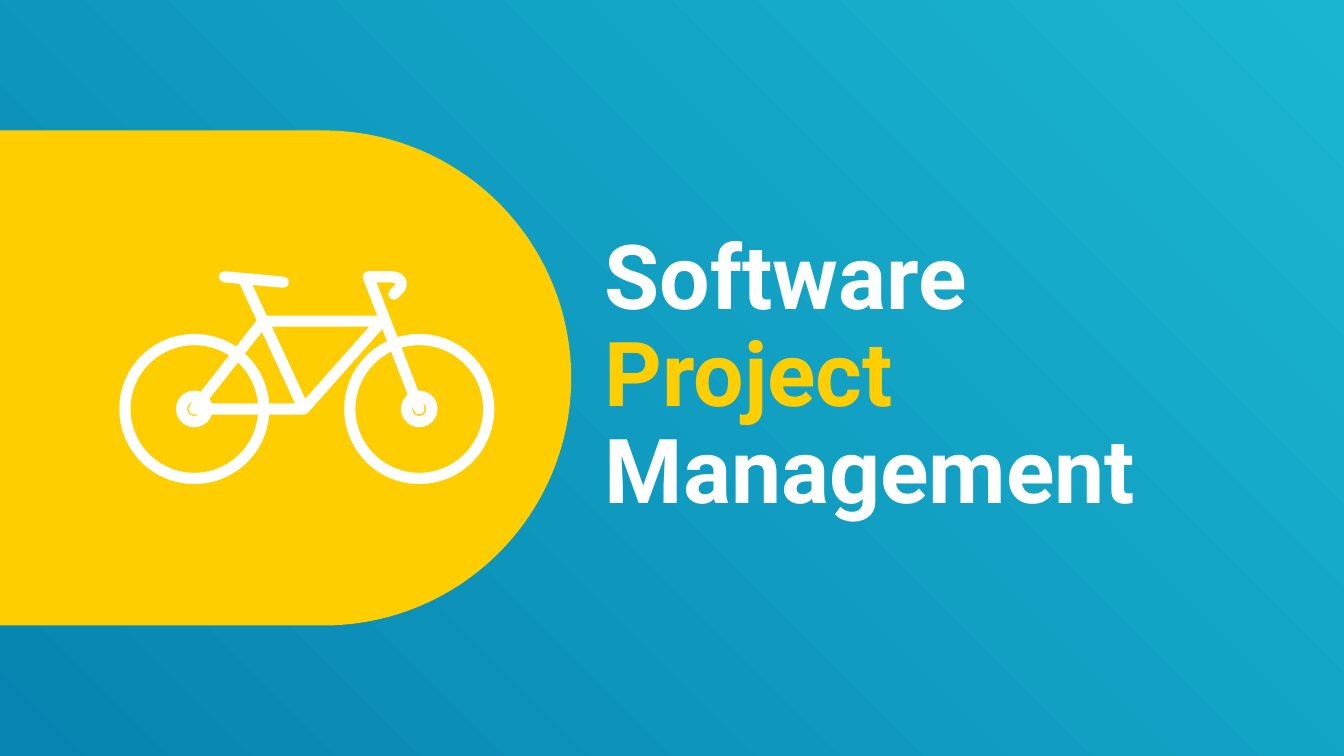
from dataclasses import dataclass

from lxml.etree import SubElement
from pptx import Presentation
from pptx.dml.color import RGBColor
from pptx.enum.shapes import MSO_CONNECTOR, MSO_SHAPE
from pptx.enum.text import MSO_ANCHOR
from pptx.oxml.ns import qn
from pptx.util import Pt


@dataclass(frozen=True)
class Theme:
    """Colours, font and sizes of the deck."""
    deep_blue: RGBColor = RGBColor.from_string("0784B1")
    light_blue: RGBColor = RGBColor.from_string("1AB6D1")
    yellow: RGBColor = RGBColor.from_string("FFCE00")
    white: RGBColor = RGBColor.from_string("FFFFFF")
    font: str = "Roboto"
    title_size: int = 48
    stroke: int = 6


THEME = Theme()
AXLE_Y = 219.1
REAR_X, FRONT_X = 104.1, 224.6
WHEEL_RADIUS, HUB_RADIUS = 37.2, 6.8
FRAME = [(131, 150.5), (162.8, AXLE_Y), (204.5, 172.1), (141.1, 172.1),
         (REAR_X, AXLE_Y), (162.8, AXLE_Y)]
FORK = [(FRONT_X, AXLE_Y), (197.3, 148.3), (210.2, 148.3), (213, 149),
        (214.6, 150.4), (215, 152), (214.6, 153.6), (213.8, 154.8),
        (211, 157.7)]
SADDLE = [(120.2, 148.3), (151.9, 151.2)]


def paint_background(slide):
    """Fill the slide with a diagonal blue gradient."""
    fill = slide.background.fill
    fill.gradient()
    fill.gradient_angle = 45
    for stop, color in zip(fill.gradient_stops, (THEME.deep_blue, THEME.light_blue)):
        stop.color.rgb = color


def add_yellow_tab(slide):
    """Add the rounded tab that enters from the left edge."""
    tab = slide.shapes.add_shape(MSO_SHAPE.ROUND_2_SAME_RECTANGLE,
                                 Pt(20), Pt(49.1), Pt(265.2), Pt(306.8))
    tab.rotation = 90
    tab.adjustments[0], tab.adjustments[1] = 0.5, 0
    tab.shadow.inherit = False
    tab.fill.solid()
    tab.fill.fore_color.rgb = THEME.yellow
    tab.line.fill.background()


def style_stroke(shape):
    """Give a shape a white line with round ends and joins."""
    shape.line.color.rgb = THEME.white
    shape.line.width = Pt(THEME.stroke)
    line = shape.line._get_or_add_ln()
    line.set("cap", "rnd")
    SubElement(line, qn("a:round"))


def add_polyline(group, points):
    """Add an open outline through the points."""
    start, *rest = [(Pt(x), Pt(y)) for x, y in points]
    builder = group.shapes.build_freeform(*start)
    builder.add_line_segments(rest, close=False)
    outline = builder.convert_to_shape()
    outline.shadow.inherit = False
    outline.fill.background()
    style_stroke(outline)


def add_ring(group, center_x, radius):
    """Add an unfilled circle centred on an axle."""
    ring = group.shapes.add_shape(MSO_SHAPE.OVAL, Pt(center_x - radius), Pt(AXLE_Y - radius),
                                  Pt(2 * radius), Pt(2 * radius))
    ring.shadow.inherit = False
    ring.fill.background()
    style_stroke(ring)


def add_bar(group, start, end):
    """Add a straight bar between two points."""
    bar = group.shapes.add_connector(MSO_CONNECTOR.STRAIGHT,
                                     *[Pt(value) for value in (*start, *end)])
    style_stroke(bar)
    SubElement(bar._element.spPr, qn("a:effectLst"))


def add_bicycle(slide):
    """Draw the bicycle as one group."""
    bicycle = slide.shapes.add_group_shape()
    for points in (FRAME, FORK):
        add_polyline(bicycle, points)
    for radius in (WHEEL_RADIUS, HUB_RADIUS):
        for center_x in (REAR_X, FRONT_X):
            add_ring(bicycle, center_x, radius)
    add_bar(bicycle, *SADDLE)


def add_title(slide, runs):
    """Add the wrapped title from pairs of text and colour."""
    box = slide.shapes.add_textbox(Pt(324), Pt(118.8), Pt(326.2), Pt(167))
    frame = box.text_frame
    frame.word_wrap = True
    frame.vertical_anchor = MSO_ANCHOR.MIDDLE
    frame.margin_left = frame.margin_right = frame.margin_top = frame.margin_bottom = Pt(0)
    para = frame.paragraphs[0]
    para.line_spacing = 0.9
    for text, color in runs:
        span = para.add_run()
        span.text = text
        span.font.name = THEME.font
        span.font.size = Pt(THEME.title_size)
        span.font.bold = True
        span.font.color.rgb = color


def main():
    """Build and save the deck."""
    deck = Presentation()
    deck.slide_width, deck.slide_height = Pt(720), Pt(405)
    page = deck.slides.add_slide(deck.slide_layouts[6])
    paint_background(page)
    add_yellow_tab(page)
    add_title(page, [("Software ", THEME.white), ("Project ", THEME.yellow),
                     ("Management", THEME.white)])
    add_bicycle(page)
    deck.save("out.pptx")


if __name__ == "__main__":
    main()
